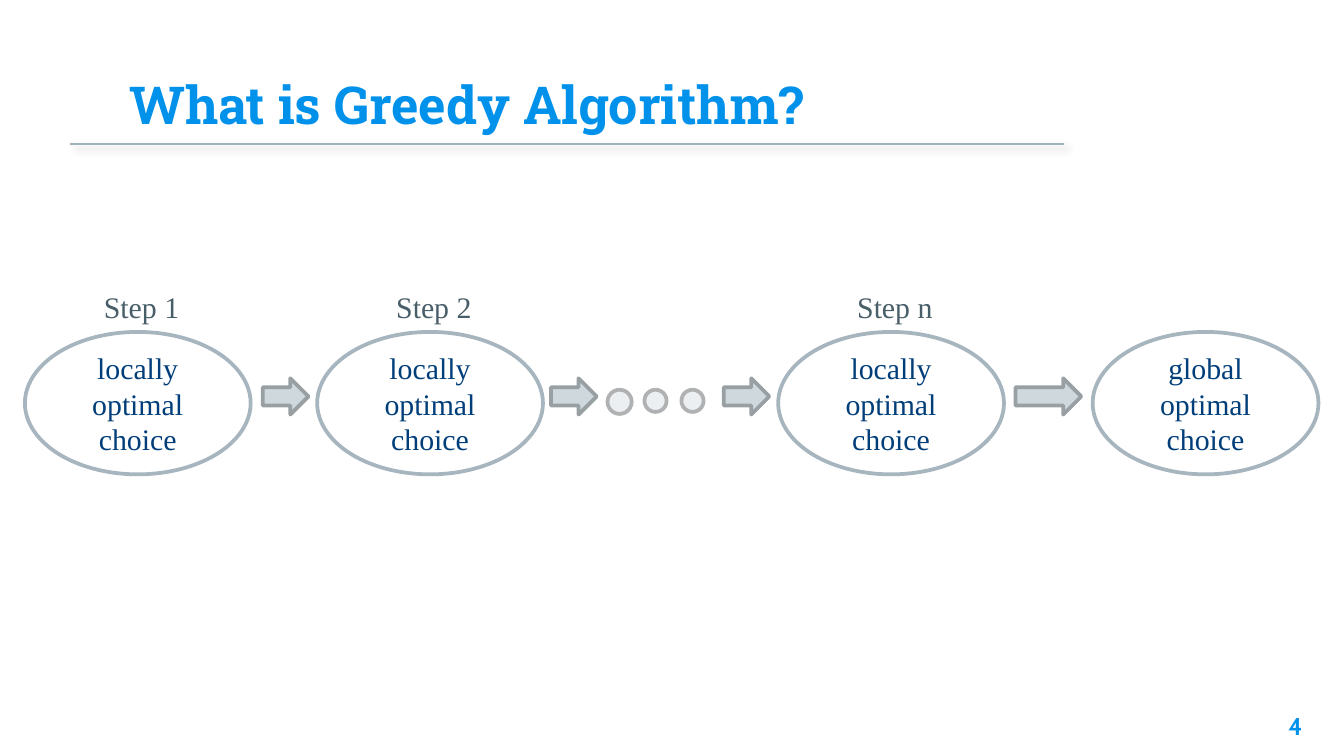
from dataclasses import dataclass

from lxml import etree
from pptx import Presentation
from pptx.dml.color import RGBColor
from pptx.enum.shapes import MSO_CONNECTOR, MSO_SHAPE
from pptx.enum.text import MSO_ANCHOR, PP_ALIGN
from pptx.oxml.ns import qn
from pptx.util import Inches, Pt

ELLIPSE, ARROW = MSO_SHAPE.OVAL, MSO_SHAPE.RIGHT_ARROW
STRAIGHT = MSO_CONNECTOR.STRAIGHT
TOP, MIDDLE, BOTTOM = MSO_ANCHOR.TOP, MSO_ANCHOR.MIDDLE, MSO_ANCHOR.BOTTOM
LEFT, CENTER, RIGHT = PP_ALIGN.LEFT, PP_ALIGN.CENTER, PP_ALIGN.RIGHT

COLS, ROWS, CELL = 100, 56.25, 0.1


@dataclass(frozen=True)
class Theme:
    title: tuple = ("Roboto Slab", 28, "0091EA", True)
    number: tuple = ("Cabin", 13, "0091EA", True)
    choice: tuple = ("Times New Roman", 16, "003E7A", False)
    step: tuple = ("Times New Roman", 16, "485E68", False)
    choice_box: tuple = ("FFFFFF", "A7B5BE")
    arrow: tuple = ("CFD8DC", "99A0A3")
    dot: tuple = ("ECEFF1", "AFB1B2")
    rule: str = "9DB2BC"
    outline: float = 2
    rule_width: float = 0.75


THEME = Theme()


def grid(*cells):
    return [Inches(round(n * CELL, 4)) for n in cells]


def write(tf, text, style, align=LEFT, anchor=TOP, inset=0.05):
    name, size, color, bold = style
    frame = {"word_wrap": True, "vertical_anchor": anchor,
             "margin_top": Inches(inset), "margin_bottom": Inches(inset)}
    for key, value in frame.items():
        setattr(tf, key, value)
    p = tf.paragraphs[0]
    p.alignment = align
    r = p.add_run()
    r.text = text
    for key, value in {"name": name, "size": Pt(size), "bold": bold}.items():
        setattr(r.font, key, value)
    r.font.color.rgb = RGBColor.from_string(color)


def add_text(s, cells, text, style, **layout):
    write(s.shapes.add_textbox(*grid(*cells)).text_frame, text, style, **layout)


def add_outlined(s, kind, cells, colors):
    sp = s.shapes.add_shape(kind, *grid(*cells))
    sp.shadow.inherit = False
    fill, line = colors
    sp.fill.solid()
    sp.fill.fore_color.rgb = RGBColor.from_string(fill)
    sp.line.color.rgb = RGBColor.from_string(line)
    sp.line.width = Pt(THEME.outline)
    return sp


def add_choice(s, col, scope, step=None):
    sp = add_outlined(s, ELLIPSE, (col, 24.7, 16.8, 10.6), THEME.choice_box)
    write(sp.text_frame, f"{scope} optimal choice", THEME.choice,
          align=CENTER, anchor=MIDDLE)
    if step:
        add_text(s, (col + 4.9, 21, 8.6, 3.7), f"Step {step}", THEME.step)


def add_rule(s, start, end, row):
    line = s.shapes.add_connector(STRAIGHT, *grid(start, row, end, row))
    line.line.color.rgb = RGBColor.from_string(THEME.rule)
    line.line.width = Pt(THEME.rule_width)
    effects = etree.SubElement(line._element.spPr, qn("a:effectLst"))
    shadow = etree.SubElement(effects, qn("a:outerShdw"), blurRad=str(Pt(4)),
                              dist=str(Pt(3)), dir=str(45 * 60000))
    color = etree.SubElement(shadow, qn("a:srgbClr"), val="000000")
    etree.SubElement(color, qn("a:alpha"), val="40000")


def main():
    prs = Presentation()
    prs.slide_width, prs.slide_height = grid(COLS, ROWS)
    s = prs.slides.add_slide(prs.slide_layouts[6])

    add_text(s, (8.65, 3.35, 82.8, 7.7), "What is Greedy Algorithm?",
             THEME.title, anchor=BOTTOM, inset=0.1)
    add_text(s, (91.9, 51.95, 6, 4.3), "4", THEME.number,
             align=RIGHT, inset=0.1)

    for col, scope, step in ((1.85, "locally", "1"), (23.6, "locally", "2"),
                             (57.9, "locally", "n"), (81.3, "global", None)):
        add_choice(s, col, scope, step)
    for col, width in ((19.55, 3.4), (41, 3.4), (53.85, 3.4), (75.55, 4.9)):
        add_outlined(s, ARROW, (col, 28.15, width, 2.7), THEME.arrow)
    for col, size in ((45.2, 1.8), (47.95, 1.65), (50.7, 1.65)):
        add_outlined(s, ELLIPSE, (col, 29, size, size), THEME.dot)

    add_rule(s, 5.2, 79.2, 10.72)
    prs.save("out.pptx")


if __name__ == "__main__":
    main()
